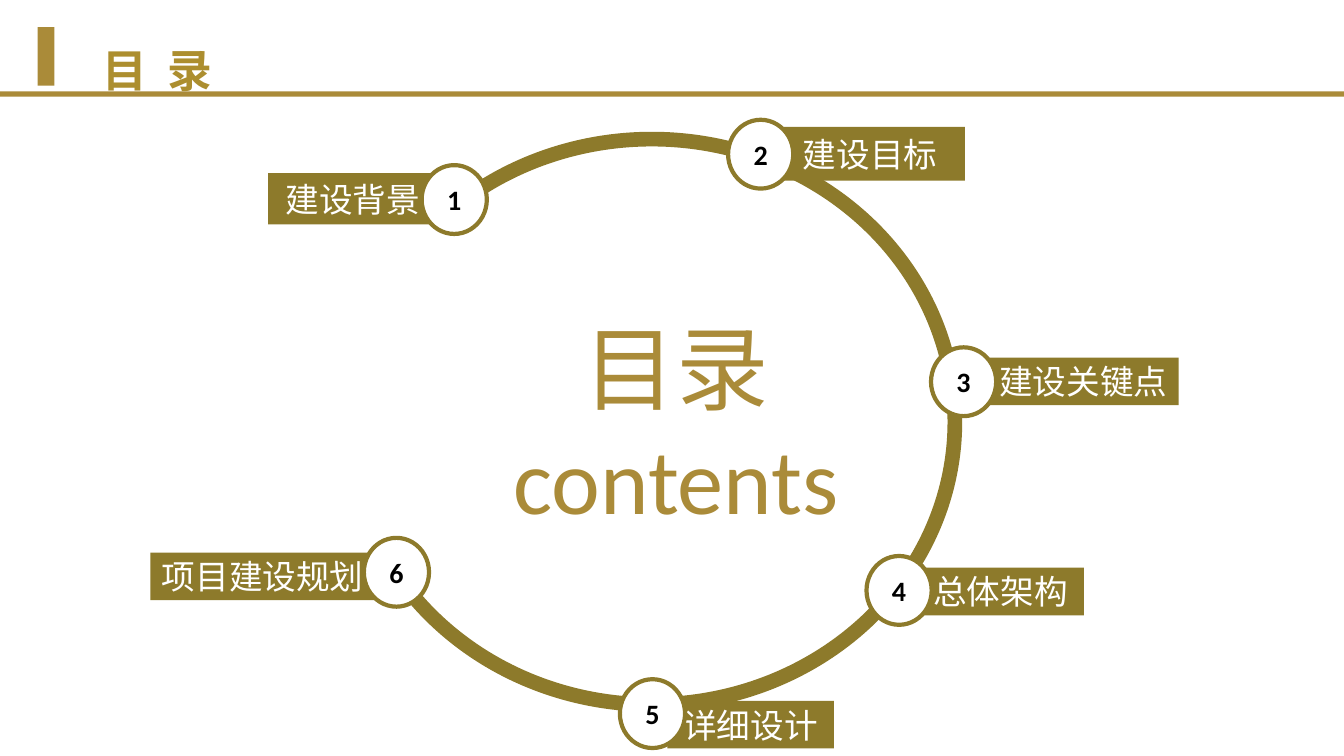
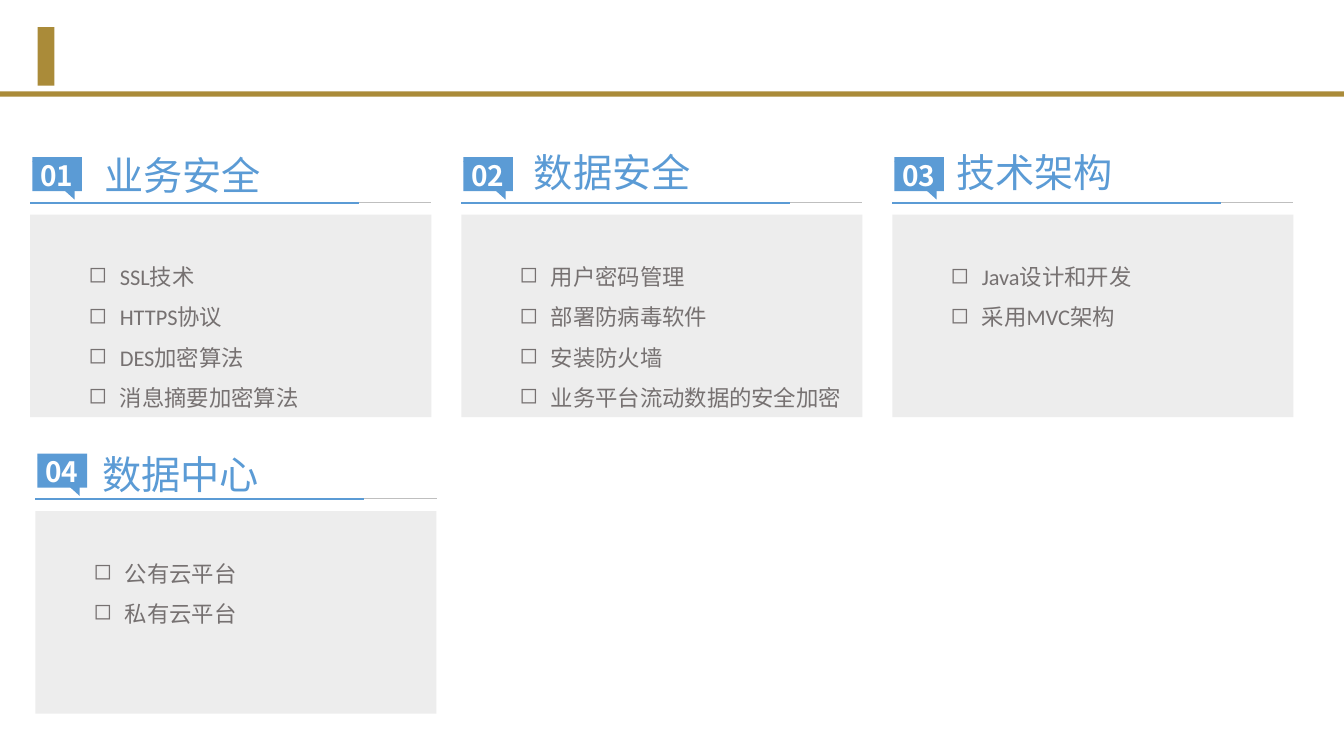
from copy import deepcopy
from dataclasses import dataclass
from typing import NamedTuple, Optional, Sequence, Union

from lxml.etree import SubElement
from pptx import Presentation
from pptx.dml.color import RGBColor
from pptx.enum.shapes import MSO_CONNECTOR, MSO_SHAPE
from pptx.enum.text import MSO_ANCHOR, MSO_AUTO_SIZE, PP_ALIGN
from pptx.oxml.ns import qn
from pptx.presentation import Presentation as Deck
from pptx.shapes.autoshape import Shape
from pptx.shapes.shapetree import GroupShapes, SlideShapes
from pptx.slide import Slide
from pptx.text.text import TextFrame
from pptx.util import Emu, Inches, Pt

GOLD = RGBColor(0xAA, 0x8B, 0x39)
OLIVE = RGBColor(0x8D, 0x7A, 0x2B)
TITLE_STOPS = (
    (0, RGBColor(0xB9, 0x96, 0x31)),
    (0.66, RGBColor(0xAC, 0x8E, 0x2F)),
    (0.97, OLIVE),
)
BLUE = RGBColor(0x5B, 0x9B, 0xD5)
SILVER = RGBColor(0xBF, 0xBF, 0xBF)
PANEL_GREY = RGBColor(0xED, 0xED, 0xED)
TEXT_GREY = RGBColor(0x76, 0x71, 0x71)
WHITE = RGBColor(0xFF, 0xFF, 0xFF)
BLACK = RGBColor(0, 0, 0)

CJK = "Noto Sans CJK SC"
LATIN = "Calibri"
SLIDE_WIDTH = Inches(13.33)
SLIDE_HEIGHT = Inches(7.5)
TITLE_ONLY, BLANK = 5, 6

Shapes = Union[SlideShapes, GroupShapes]


def across(percent: float) -> Emu:
    return Emu(round(SLIDE_WIDTH * percent / 100))


def down(percent: float) -> Emu:
    return Emu(round(SLIDE_HEIGHT * percent / 100))


class Box(NamedTuple):
    """Left, top, width and height in percent of the slide."""

    left: float
    top: float
    width: float
    height: float

    def emu(self) -> tuple[Emu, Emu, Emu, Emu]:
        return across(self.left), down(self.top), across(self.width), down(self.height)

    def moved(self, dx: float, dy: float) -> "Box":
        return self._replace(left=self.left + dx, top=self.top + dy)


@dataclass(frozen=True)
class TextStyle:
    size: float
    color: RGBColor
    font: str = CJK
    bold: bool = False
    align: PP_ALIGN = PP_ALIGN.CENTER
    line_spacing: Optional[float] = None
    bullet: Optional[str] = None


@dataclass(frozen=True)
class Topic:
    name: str
    label: Box
    center_x: float
    center_y: float


@dataclass(frozen=True)
class Card:
    name: str
    points: Sequence[str]
    column: int
    row: int
    name_dx: float
    name_dy: float
    shift: float = 0
    list_width: float = 23.4


TITLE = TextStyle(32, OLIVE, bold=True, align=PP_ALIGN.LEFT, line_spacing=0.9)
CENTER = TextStyle(66, GOLD, LATIN)
LABEL = TextStyle(24, WHITE)
NODE_NUMBER = TextStyle(20, BLACK, LATIN, bold=True)
CARD_NUMBER = TextStyle(20, WHITE, bold=True, align=PP_ALIGN.LEFT)
CARD_NAME = TextStyle(28, BLUE, align=PP_ALIGN.RIGHT)
CARD_POINT = TextStyle(16, TEXT_GREY, LATIN, align=PP_ALIGN.LEFT, line_spacing=1.5, bullet="◻")

HEADER_RULE = Box(0, 12.1, 100, 0.7)
HEADER_MARK = Box(2.8, 3.6, 1.25, 7.75)
TITLE_BOX = Box(6.9, 5.35, 86.3, 8.7)

RING = Box(25.95, 18.4, 45.1, 74.8)
NODE_WIDTH, NODE_HEIGHT = 4.85, 9.1
TOPICS = (
    Topic("建设背景", Box(19.95, 22.9, 12.6, 6.8), 33.8, 26.4),
    Topic("建设目标", Box(57.7, 16.8, 14.1, 7.1), 56.6, 20.4),
    Topic("建设关键点", Box(73.5, 47.3, 14.2, 6.3), 71.7, 50.5),
    Topic("总体架构", Box(68.25, 75.1, 12.4, 6.3), 66.9, 78.1),
    Topic("详细设计", Box(49.65, 92.7, 12.4, 6.3), 48.55, 94.4),
    Topic("项目建设规划", Box(11.2, 73.1, 16.7, 6.3), 29.5, 75.7),
)

CARD_LEFT, CARD_TOP = 2.25, 20.8
COLUMN_PITCH, ROW_PITCH = 32.07, 39.2
CARD_WIDTH, ACCENT_WIDTH = 29.85, 24.45
RULE_DY = 6
BADGE = Box(0.15, 0, 3.7, 4.5)
BADGE_TAIL = Box(0.15, 0.55, 3.15, 5.05)
BADGE_NUMBER = Box(0, -0.55, 4.1, 5.6)
NAME_BOX = Box(0, 0, 13.3, 7.6)
PANEL = Box(0, 7.6, CARD_WIDTH, 26.8)
LIST_DX, LIST_DY, POINT_HEIGHT, LIST_PADDING = 3.6, 11.6, 5.4, 1.33
CARDS = (
    Card("业务安全", ("SSL技术", "HTTPS协议", "DES加密算法", "消息摘要加密算法"), 0, 0, 4.6, -1.5),
    Card(
        "数据安全",
        ("用户密码管理", "部署防病毒软件", "安装防火墙", "业务平台流动数据的安全加密"),
        1, 0, 4.5, -1.9, list_width=25.6,
    ),
    Card("技术架构", ("Java设计和开发", "采用MVC架构"), 2, 0, 3.85, -1.9),
    Card("数据中心", ("公有云平台", "私有云平台"), 0, 1, 4.05, -1.1, shift=0.38),
)


def write(frame: TextFrame, lines: Sequence[str], style: TextStyle) -> None:
    frame.text = "\n".join(lines)
    for paragraph in frame.paragraphs:
        paragraph.alignment = style.align
        properties = paragraph._p.get_or_add_pPr()
        if style.bullet:
            properties.set("marL", str(Inches(0.31)))
            properties.set("indent", str(-Inches(0.31)))
            SubElement(properties, qn("a:buChar"), char=style.bullet)
        if style.line_spacing:
            paragraph.line_spacing = style.line_spacing
        font = paragraph.font
        font.size = Pt(style.size)
        font.bold = style.bold
        font.color.rgb = style.color
        font.name = style.font
        SubElement(properties.find(qn("a:defRPr")), qn("a:ea"), typeface=CJK)


def add_figure(
    shapes: Shapes,
    kind: MSO_SHAPE,
    box: Box,
    fill: Optional[RGBColor] = None,
    line: Optional[RGBColor] = None,
    line_width: float = 0,
) -> Shape:
    figure = shapes.add_shape(kind, *box.emu())
    figure.shadow.inherit = False
    if fill is None:
        figure.fill.background()
    else:
        figure.fill.solid()
        figure.fill.fore_color.rgb = fill
    if line is None:
        figure.line.fill.background()
    else:
        figure.line.color.rgb = line
        figure.line.width = Pt(line_width)
    return figure


def add_text(shapes: Shapes, box: Box, lines: Sequence[str], style: TextStyle, wrap: bool = False) -> TextFrame:
    frame = shapes.add_textbox(*box.emu()).text_frame
    frame.word_wrap = wrap
    frame.auto_size = MSO_AUTO_SIZE.SHAPE_TO_FIT_TEXT
    write(frame, lines, style)
    return frame


def add_rule(shapes: Shapes, start: float, end: float, y: float, color: RGBColor, width: float) -> None:
    rule = shapes.add_connector(MSO_CONNECTOR.STRAIGHT, across(start), down(y), across(end), down(y))
    rule.line.color.rgb = color
    rule.line.width = Pt(width)
    SubElement(rule._element.spPr, qn("a:effectLst"))


def add_master_band(deck: Deck, slide: Slide) -> None:
    for box in (HEADER_RULE, HEADER_MARK):
        band = add_figure(slide.shapes, MSO_SHAPE.RECTANGLE, box, GOLD)
        deck.slide_master.element.cSld.spTree.append(band._element)


def set_title(slide: Slide, text: str) -> None:
    title = slide.shapes.title
    title.left, title.top, title.width, title.height = TITLE_BOX.emu()
    frame = title.text_frame
    frame.vertical_anchor = MSO_ANCHOR.MIDDLE
    write(frame, [text], TITLE)
    paragraph = frame.paragraphs[0]
    fill = paragraph.font.fill
    fill.gradient()
    fill.gradient_angle = 180
    properties = paragraph._p.pPr.find(qn("a:defRPr"))
    properties.set("spc", "360")
    stop_list = next(properties.iter(qn("a:gsLst")))
    stop_list.insert(1, deepcopy(stop_list[0]))
    for stop, (position, color) in zip(fill.gradient_stops, TITLE_STOPS):
        stop.position = position
        stop.color.rgb = color


def draw_contents(slide: Slide) -> None:
    shapes = slide.shapes
    set_title(slide, "目 录")
    ring = add_figure(shapes, MSO_SHAPE.ARC, RING, line=OLIVE, line_width=10.5)
    ring.adjustments[0], ring.adjustments[1] = 139.319, 89.314
    ring.text_frame.vertical_anchor = MSO_ANCHOR.MIDDLE
    write(ring.text_frame, ["目录", "contents"], CENTER)
    for topic in TOPICS:
        label = add_figure(shapes, MSO_SHAPE.RECTANGLE, topic.label, OLIVE)
        label.text_frame.word_wrap = False
        write(label.text_frame, [topic.name], LABEL)
    for number, topic in enumerate(TOPICS, start=1):
        box = Box(
            topic.center_x - NODE_WIDTH / 2, topic.center_y - NODE_HEIGHT / 2, NODE_WIDTH, NODE_HEIGHT
        )
        node = add_figure(shapes, MSO_SHAPE.OVAL, box, WHITE, OLIVE, 3)
        write(node.text_frame, [str(number)], NODE_NUMBER)


def draw_card(slide: Slide, number: int, card: Card) -> None:
    shapes = slide.shapes.add_group_shape().shapes
    left = CARD_LEFT + card.column * COLUMN_PITCH + card.shift
    top = CARD_TOP + card.row * ROW_PITCH
    right, rule_y = left + CARD_WIDTH, top + RULE_DY
    add_rule(shapes, right - ACCENT_WIDTH, right, rule_y, SILVER, 0.75)
    add_rule(shapes, left, left + ACCENT_WIDTH, rule_y, BLUE, 1.5)
    add_figure(shapes, MSO_SHAPE.RECTANGLE, BADGE.moved(left, top), BLUE)
    tail = add_figure(shapes, MSO_SHAPE.RIGHT_TRIANGLE, BADGE_TAIL.moved(left, top), BLUE)
    tail.rotation = 180
    add_text(shapes, BADGE_NUMBER.moved(left, top), [f"{number:02d}"], CARD_NUMBER)
    name_box = NAME_BOX.moved(left + card.name_dx, top + card.name_dy)
    name = add_text(shapes, name_box, [card.name], CARD_NAME)
    name.vertical_anchor = MSO_ANCHOR.MIDDLE
    add_figure(shapes, MSO_SHAPE.RECTANGLE, PANEL.moved(left, top), PANEL_GREY)
    list_height = LIST_PADDING + POINT_HEIGHT * len(card.points)
    list_box = Box(left + LIST_DX, top + LIST_DY, card.list_width, list_height)
    add_text(shapes, list_box, card.points, CARD_POINT, wrap=True)


def main() -> None:
    deck = Presentation()
    deck.slide_width, deck.slide_height = SLIDE_WIDTH, SLIDE_HEIGHT
    contents = deck.slides.add_slide(deck.slide_layouts[TITLE_ONLY])
    add_master_band(deck, contents)
    draw_contents(contents)
    security = deck.slides.add_slide(deck.slide_layouts[BLANK])
    for number, card in enumerate(CARDS, start=1):
        draw_card(security, number, card)
    deck.save("out.pptx")


if __name__ == "__main__":
    main()
